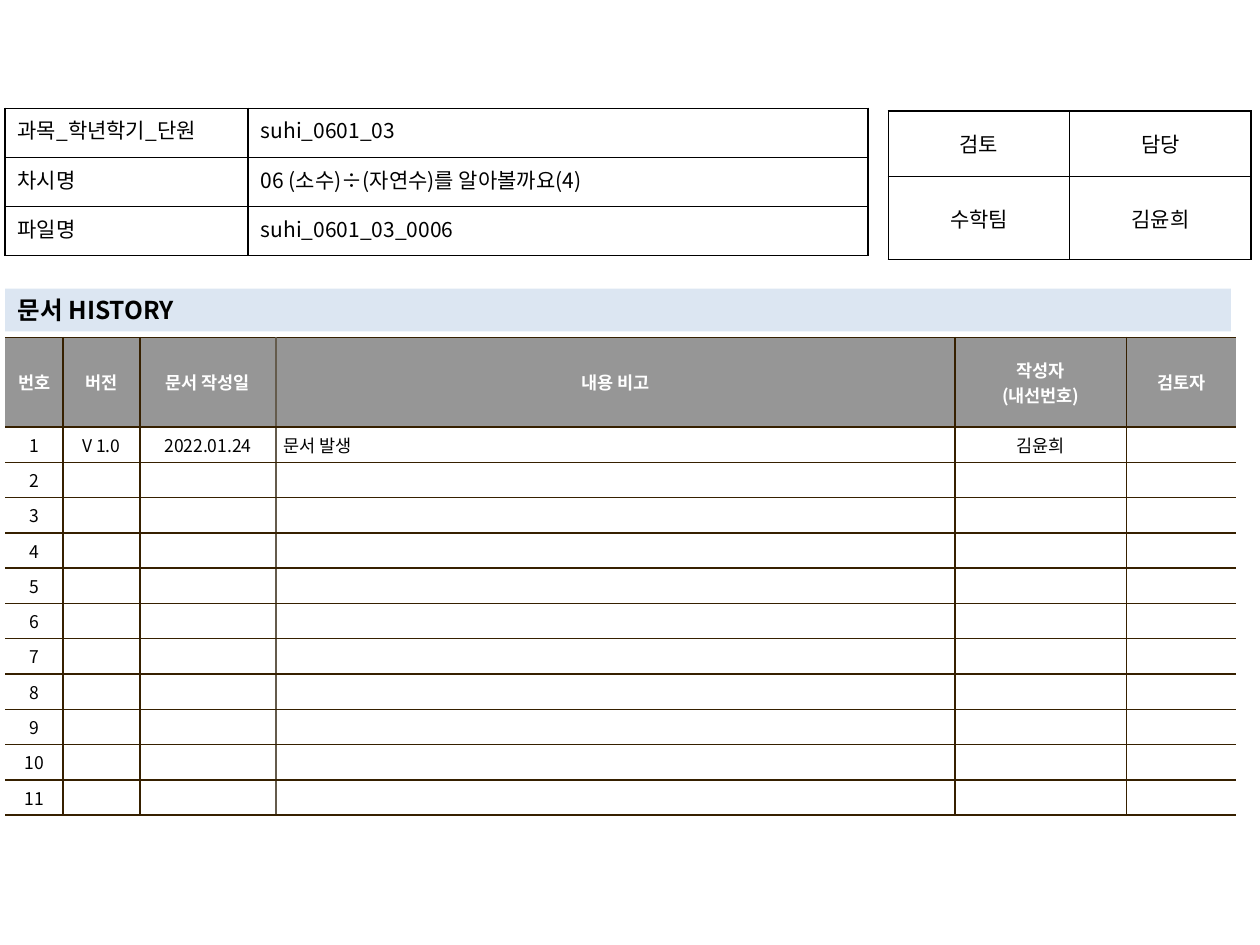
from lxml.etree import SubElement
from pptx import Presentation
from pptx.dml.color import RGBColor
from pptx.enum.text import MSO_ANCHOR, MSO_AUTO_SIZE, PP_ALIGN
from pptx.oxml.ns import qn
from pptx.util import Inches, Pt

FONT = "Noto Sans CJK KR"
BLACK = RGBColor(0x00, 0x00, 0x00)
WHITE = RGBColor(0xFF, 0xFF, 0xFF)
GRAY = RGBColor(0x96, 0x96, 0x96)
BLUE = RGBColor(0xDC, 0xE6, 0xF2)
BROWN = RGBColor(0x36, 0x20, 0x00)
TAUPE = RGBColor(0x64, 0x5B, 0x4C)
LEFT, MID = PP_ALIGN.LEFT, PP_ALIGN.CENTER


def apply(item, values):
    for key, value in values.items():
        setattr(item, key, value)


def pad(side, top):
    return dict(margin_left=Inches(side), margin_right=Inches(side),
                margin_top=Inches(top), margin_bottom=Inches(top))


class Page:
    def __init__(self, deck):
        self.slide = deck.slides.add_slide(deck.slide_layouts[5])

    def label(self, frame, text, size, color=BLACK, bold=False, align=LEFT):
        frame.text = text
        for para in frame.paragraphs:
            para.alignment = align
            for run in para.runs:
                apply(run.font, dict(name=FONT, size=Pt(size), bold=bold))
                run.font.color.rgb = color
                SubElement(run.font._element, qn("a:ea"), typeface=FONT)
            if not para.runs:
                SubElement(para._p, qn("a:endParaRPr"), sz=str(size * 100))

    def title(self, text, box):
        bar = self.slide.shapes.title
        apply(bar, dict(zip(("left", "top", "width", "height"), map(Inches, box))))
        bar.fill.solid()
        bar.fill.fore_color.rgb = BLUE
        apply(bar.text_frame, dict(pad(0.1, 0), word_wrap=True,
                                   auto_size=MSO_AUTO_SIZE.NONE,
                                   vertical_anchor=MSO_ANCHOR.MIDDLE))
        self.label(bar.text_frame, text, 14, bold=True)

    def edge(self, cell, side, color):
        props = cell._tc.get_or_add_tcPr()
        line = SubElement(props, qn(f"a:ln{side}"), w=str(Pt(1)))
        if color is None:
            SubElement(line, qn("a:noFill"))
        else:
            fill = SubElement(line, qn("a:solidFill"))
            SubElement(fill, qn("a:srgbClr"), val=str(color))

    def table(self, rows, at, widths, heights, style):
        box = (*at, sum(widths), sum(heights))
        grid = self.slide.shapes.add_table(
            len(rows), len(widths), *map(Inches, box)).table
        apply(grid, dict(first_row=False, horz_banding=False))
        for col, width in zip(grid.columns, widths):
            col.width = Inches(width)
        for row, height in zip(grid.rows, heights):
            row.height = Inches(height)
        for r, row in enumerate(rows):
            for c, text in enumerate(row):
                self.cell(grid.cell(r, c), text, style(r, c))

    def cell(self, cell, text, style):
        apply(cell, style["cell"])
        for side, color in style["edges"].items():
            self.edge(cell, side, color)
        if style["fill"] is None:
            cell.fill.background()
        else:
            cell.fill.solid()
            cell.fill.fore_color.rgb = style["fill"]
        self.label(cell.text_frame, text, **style["text"])


def plain(align, anchor):
    return dict(cell=dict(pad(0.1, 0.05), vertical_anchor=anchor),
                edges=dict.fromkeys("LRTB", BLACK), fill=None,
                text=dict(size=12, align=align))


def log_style(r, c):
    head = r == 0
    rules = [None, BROWN, BROWN, TAUPE, BROWN, BROWN, None]
    return dict(cell=dict(pad(0.06, 0.04), vertical_anchor=MSO_ANCHOR.MIDDLE),
                edges=dict(L=rules[c], R=rules[c + 1], T=BROWN, B=BROWN),
                fill=GRAY if head else WHITE,
                text=dict(size=10, color=WHITE if head else BLACK, bold=head,
                          align=LEFT if c == 3 and not head else MID))


def main():
    deck = Presentation()
    apply(deck, dict(slide_width=Inches(10), slide_height=Inches(7.5)))
    page = Page(deck)
    page.title("문서 HISTORY", (0.04, 2.29, 9.73, 0.34))

    log = [["번호", "버전", "문서 작성일", "내용 비고", "작성자\n(내선번호)", "검토자"],
           ["1", "V 1.0", "2022.01.24", "문서 발생", "김윤희", ""]]
    log += [[str(n)] + [""] * 5 for n in range(2, 12)]
    page.table(log, (0.04, 2.68), [0.46, 0.61, 1.08, 5.39, 1.36, 0.87],
               [0.71] + [0.28] * 11, log_style)

    page.table([["검토", "담당"], ["수학팀", "김윤희"]], (7.05, 0.88),
               [1.44] * 2, [0.52, 0.66],
               lambda r, c: plain(MID, MSO_ANCHOR.MIDDLE))

    page.table([["과목_학년학기_단원", "suhi_0601_03"],
                ["차시명", "06 (소수)÷(자연수)를 알아볼까요(4)"],
                ["파일명", "suhi_0601_03_0006"]], (0.04, 0.86),
               [1.93, 4.92], [0.39] * 3,
               lambda r, c: plain(LEFT, MSO_ANCHOR.TOP))
    deck.save("out.pptx")


if __name__ == "__main__":
    main()
